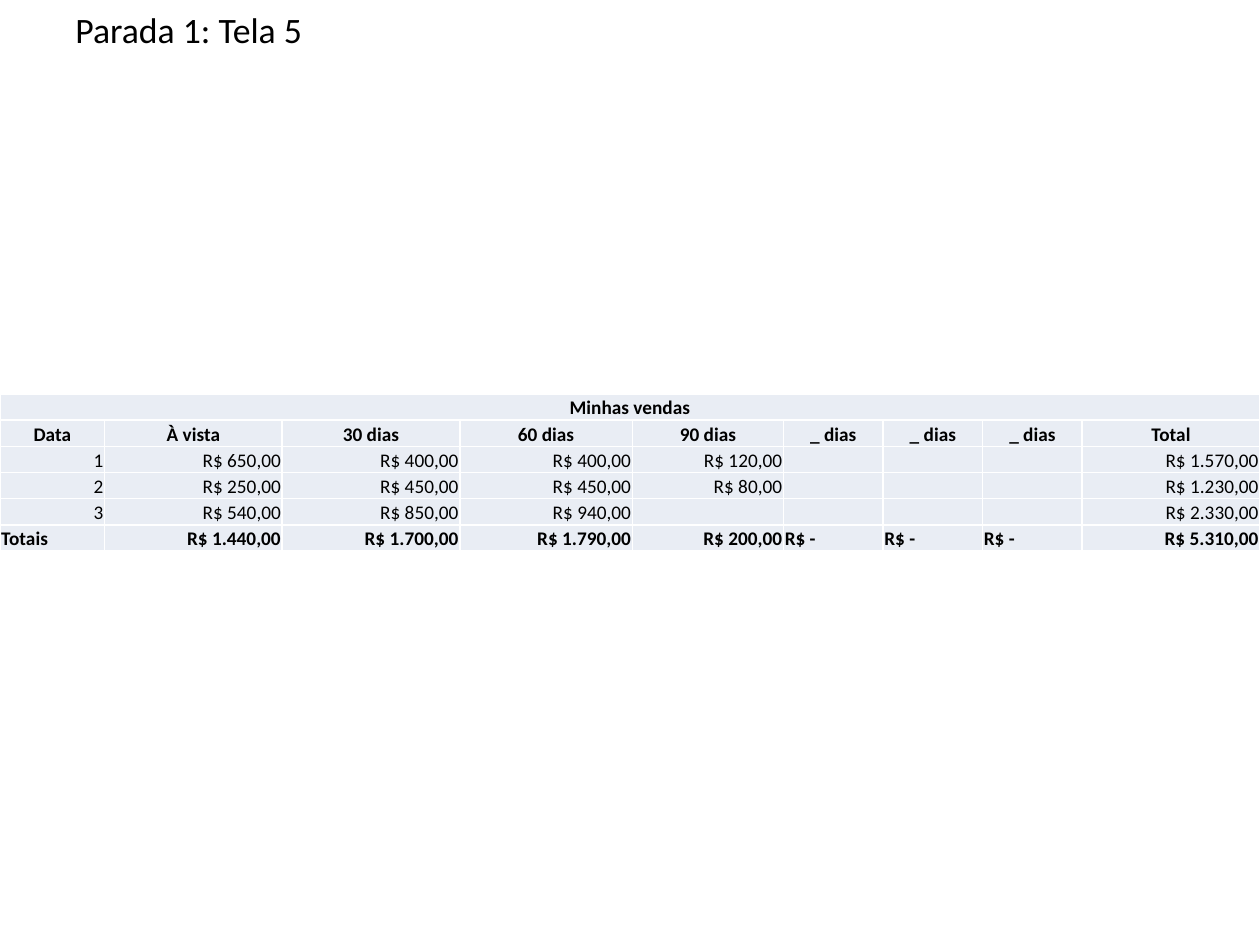
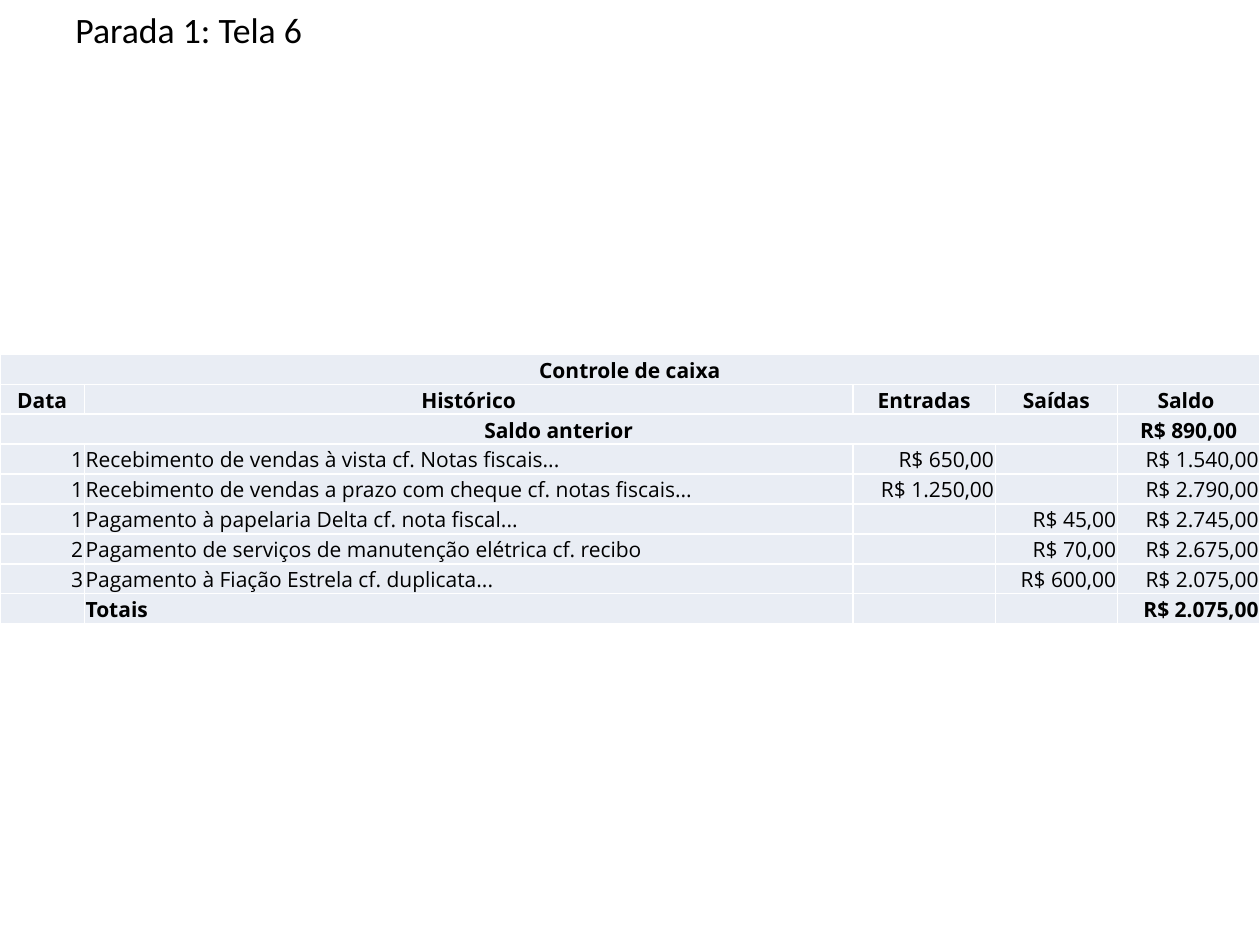
"""Builds two slides with a sales table and a cash control table."""
import pptx
import pptx.dml.color
import pptx.enum.text
import pptx.oxml
import pptx.oxml.ns
import pptx.util

Pt = pptx.util.Pt
ALIGN = pptx.enum.text.PP_ALIGN
BLACK = pptx.dml.color.RGBColor(0x00, 0x00, 0x00)
WHITE = pptx.dml.color.RGBColor(0xFF, 0xFF, 0xFF)
CELL_FILL = pptx.dml.color.RGBColor(0xE9, 0xED, 0xF4)
TITLE_FONT = "Calibri"
TITLE_SIZE = 20.4
SLIDE_WIDTH, SLIDE_HEIGHT = 720, 540
CELL_INSET = 0.72


class Deck:
    """Holds the presentation, its style and the current slide."""

    def __init__(self):
        self.presentation = pptx.Presentation()
        self.presentation.slide_width = Pt(SLIDE_WIDTH)
        self.presentation.slide_height = Pt(SLIDE_HEIGHT)
        self.slide = None

    def add_slide(self, title):
        """Starts a slide on the blank layout and writes its title."""
        self.slide = self.presentation.slides.add_slide(self.presentation.slide_layouts[6])
        box = self.slide.shapes.add_textbox(Pt(36), Pt(0.72), Pt(648), Pt(27.36))
        box.text_frame.word_wrap = True
        paragraph = box.text_frame.paragraphs[0]
        paragraph.space_before = Pt(1.5)
        self.add_run(paragraph, title, TITLE_FONT, TITLE_SIZE)

    def add_run(self, paragraph, text, font_name, size, bold=False):
        """Adds one run of black text."""
        run = paragraph.add_run()
        run.text = text
        run.font.name = font_name
        run.font.size = Pt(size)
        run.font.bold = bold
        run.font.color.rgb = BLACK

    def add_borders(self, cell):
        """Draws a thin white line on each side of a cell."""
        properties = cell._tc.get_or_add_tcPr()
        for side in ("lnL", "lnR", "lnT", "lnB"):
            properties.append(pptx.oxml.parse_xml(
                f'<a:{side} {pptx.oxml.ns.nsdecls("a")} w="{Pt(1)}"><a:solidFill>'
                f'<a:srgbClr val="{WHITE}"/></a:solidFill></a:{side}>'))

    def fill_cell(self, cell, text, font_name, size, bold, alignment):
        """Styles a cell and writes its text."""
        self.add_borders(cell)
        cell.fill.solid()
        cell.fill.fore_color.rgb = CELL_FILL
        cell.margin_left = cell.margin_right = cell.margin_top = Pt(CELL_INSET)
        cell.margin_bottom = Pt(0)
        cell.vertical_anchor = pptx.enum.text.MSO_ANCHOR.BOTTOM
        paragraph = cell.text_frame.paragraphs[0]
        paragraph.alignment = alignment
        if text:
            self.add_run(paragraph, text, font_name, size, bold)
        else:
            paragraph._p.get_or_add_endParaRPr().set("sz", str(size * 100))

    def add_table(self, top, row_height, widths, rows, heading_rows, merges, font_name, size):
        """Adds a full-width table; headings are centred, numbers right-aligned."""
        frame = self.slide.shapes.add_table(
            len(rows), len(widths), Pt(0), Pt(top), Pt(SLIDE_WIDTH), Pt(row_height * len(rows)))
        table = frame.table
        table.first_row = table.horz_banding = False
        for column, width in zip(table.columns, widths):
            column.width = Pt(width)
        for row_index, texts in enumerate(rows):
            table.rows[row_index].height = Pt(row_height)
            heading = row_index < heading_rows
            bold = heading or row_index == len(rows) - 1
            for column_index, text in enumerate(texts):
                if heading:
                    alignment = ALIGN.CENTER
                else:
                    alignment = ALIGN.RIGHT if text[-1:].isdigit() else ALIGN.LEFT
                self.fill_cell(table.cell(row_index, column_index), text,
                               font_name, size, bold, alignment)
        for row_index, last_column in merges:
            table.cell(row_index, 0).merge(table.cell(row_index, last_column))


SALES_WIDTHS = [59.8, 101.5, 101.5, 98.6, 86.4, 56.9, 56.9, 56.9, 101.5]
SALES_ROWS = [
    ["Minhas vendas"] + [""] * 8,
    ["Data", "À vista", "30 dias", "60 dias", "90 dias", "_ dias", "_ dias", "_ dias", "Total"],
    ["1", "R$ 650,00", "R$ 400,00", "R$ 400,00", "R$ 120,00", "", "", "", "R$ 1.570,00"],
    ["2", "R$ 250,00", "R$ 450,00", "R$ 450,00", "R$ 80,00", "", "", "", "R$ 1.230,00"],
    ["3", "R$ 540,00", "R$ 850,00", "R$ 940,00", "", "", "", "", "R$ 2.330,00"],
    ["Totais", "R$ 1.440,00", "R$ 1.700,00", "R$ 1.790,00", "R$ 200,00",
     "R$ -", "R$ -", "R$ -", "R$ 5.310,00"],
]
CASH_WIDTHS = [48.2, 439.2, 81.4, 69.8, 81.4]
CASH_ROWS = [
    ["Controle de caixa"] + [""] * 4,
    ["Data", "Histórico", "Entradas", "Saídas", "Saldo "],
    ["Saldo anterior", "", "", "", "R$ 890,00"],
    ["1", "Recebimento de vendas à vista cf. Notas fiscais...", "R$ 650,00", "", "R$ 1.540,00"],
    ["1", "Recebimento de vendas a prazo com cheque cf. notas fiscais... ",
     "R$ 1.250,00", "", "R$ 2.790,00"],
    ["1", "Pagamento à papelaria Delta cf. nota fiscal...", "", "R$ 45,00", "R$ 2.745,00"],
    ["2", "Pagamento de serviços de manutenção elétrica cf. recibo",
     "", "R$ 70,00", "R$ 2.675,00"],
    ["3", "Pagamento à Fiação Estrela cf. duplicata...", "", "R$ 600,00", "R$ 2.075,00"],
    ["", "Totais", "", "", "R$ 2.075,00"],
]

deck = Deck()
deck.add_slide("Parada 1: Tela 5")
deck.add_table(225, 15, SALES_WIDTHS, SALES_ROWS, 2, [(0, 8)], "Calibri", 11)
deck.add_slide("Parada 1: Tela 6")
deck.add_table(202.5, 17.1, CASH_WIDTHS, CASH_ROWS, 3, [(0, 4), (2, 3)], "Open Sans", 12)
deck.presentation.save("out.pptx")
